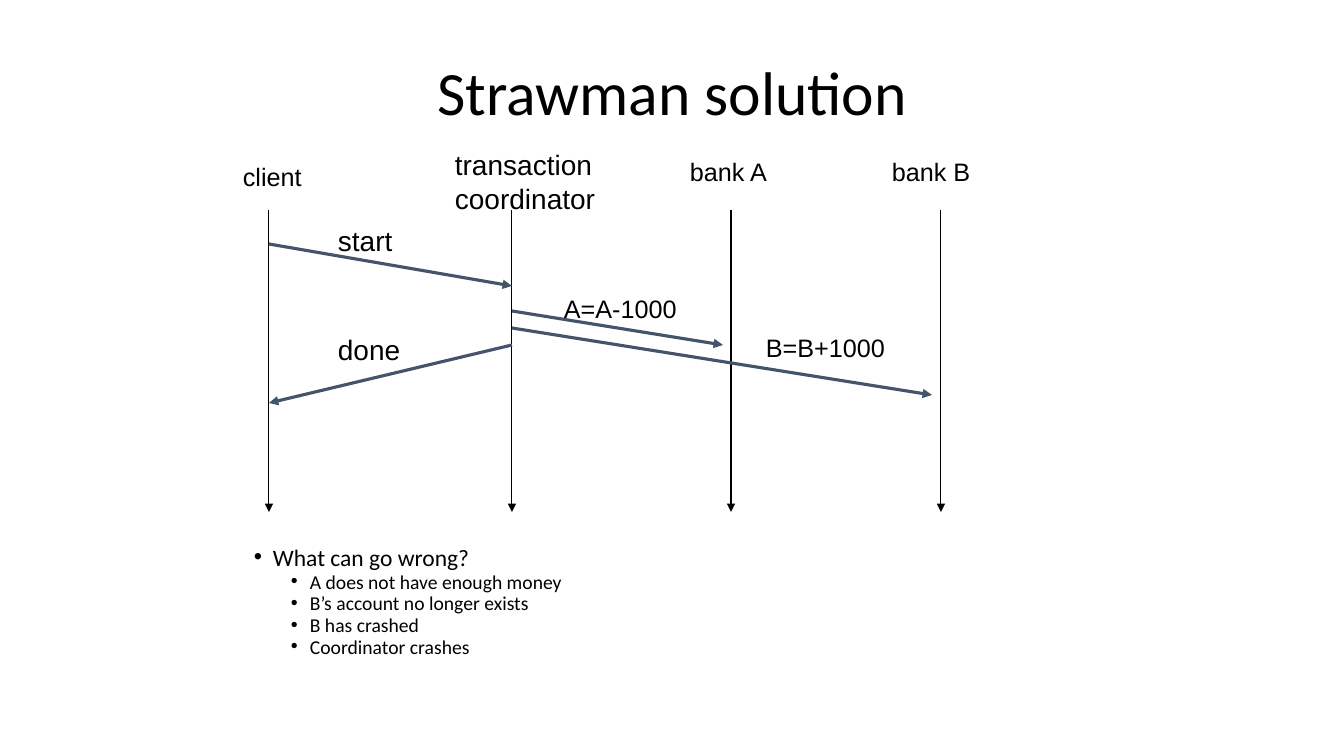
"""Build the "Strawman solution" sequence diagram slide."""
import pptx
import pptx.dml.color
import pptx.enum.shapes
import pptx.enum.text
import pptx.oxml.ns
import pptx.util
from lxml import etree

PX = 12192000 / 1344
BLACK = pptx.dml.color.RGBColor(0x00, 0x00, 0x00)
SLATE = pptx.dml.color.RGBColor(0x44, 0x54, 0x6A)
qn = pptx.oxml.ns.qn

prs = pptx.Presentation()
prs.slide_width, prs.slide_height = round(1344 * PX), round(756 * PX)
s = prs.slides.add_slide(prs.slide_layouts[6])


def add_text(box, lines, size, font="Arial", wrap=False):
    tb = s.shapes.add_textbox(*[round(v * PX) for v in box])
    tf = tb.text_frame
    tf.word_wrap = wrap
    tf.text = "\n".join(lines)
    for p in tf.paragraphs:
        p.font.name = font
        p.font.size = pptx.util.Pt(size)
        p.font.color.rgb = BLACK
    return tf


def add_arrow(x1, y1, x2, y2, color, width):
    ends = [round(v * PX) for v in (x1, y1, x2, y2)]
    line = s.shapes.add_connector(pptx.enum.shapes.MSO_CONNECTOR.STRAIGHT, *ends)
    line.line.color.rgb = color
    line.line.width = pptx.util.Pt(width)
    etree.SubElement(line.get_or_add_ln(), qn("a:tailEnd"), type="triangle")
    etree.SubElement(line._element.spPr, qn("a:effectLst"))


tf = add_text((244, 33, 857, 126), ["Strawman solution"], 44, "Calibri", True)
tf.vertical_anchor = pptx.enum.text.MSO_ANCHOR.MIDDLE
tf.paragraphs[0].alignment = pptx.enum.text.PP_ALIGN.CENTER
tf.paragraphs[0].line_spacing = 0.9

problems = [
    "What can go wrong?",
    "A does not have enough money",
    "B’s account no longer exists",
    "B has crashed",
    "Coordinator crashes",
]
tf = add_text((244, 546, 857, 126), problems, 14, "Calibri", True)
for i, p in enumerate(tf.paragraphs):
    level, size, before, margin = (1, 14, 3.8, 56) if i else (0, 16.8, 7.5, 19)
    p.level = level
    p.font.size = pptx.util.Pt(size)
    p.line_spacing = 0.7
    p.space_before = pptx.util.Pt(before)
    pPr = p._p.get_or_add_pPr()
    pPr.set("marL", str(round(margin * PX)))
    pPr.set("indent", str(round(-19 * PX)))
    bullet_font = etree.Element(qn("a:buFont"), typeface="Arial")
    bullet = etree.Element(qn("a:buChar"), char="•")
    pPr.find(qn("a:defRPr")).addprevious(bullet_font)
    bullet_font.addnext(bullet)

CLIENT, COORDINATOR, BANK_A, BANK_B = lifelines = (269, 512, 731, 941)
for x in lifelines:
    add_arrow(x, 210, x, 512, BLACK, 0.75)

messages = [
    (CLIENT, 244, COORDINATOR, 286),
    (COORDINATOR, 311, BANK_A - 8, 345),
    (COORDINATOR, 328, BANK_B - 9, 395),
    (COORDINATOR, 345, CLIENT, 403),
]
for message in messages:
    add_arrow(*message, SLATE, 2.25)

labels = [
    ((233, 156, 80, 40), ["client"], 18),
    ((445, 143, 164, 78), ["transaction", "coordinator"], 20),
    ((680, 151, 98, 40), ["bank A"], 18),
    ((882, 151, 100, 40), ["bank B"], 18),
    ((328, 219, 75, 43), ["start"], 20),
    ((328, 328, 83, 43), ["done"], 20),
    ((554, 288, 134, 44), ["A=A-1000"], 18),
    ((756, 327, 140, 44), ["B=B+1000"], 18),
]
for box, lines, size in labels:
    tf = add_text(box, lines, size)
    tf.auto_size = pptx.enum.text.MSO_AUTO_SIZE.SHAPE_TO_FIT_TEXT

prs.save("out.pptx")
